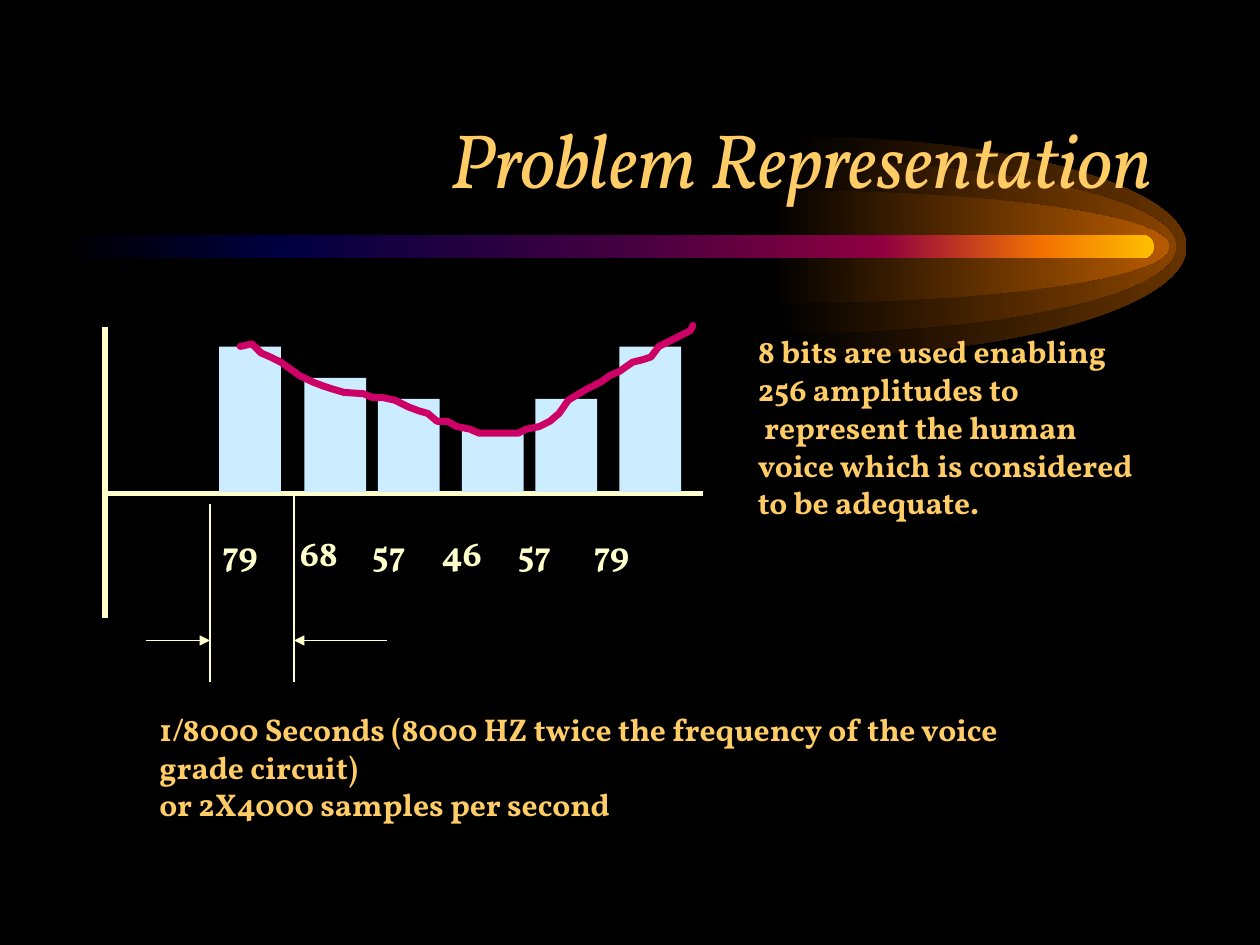
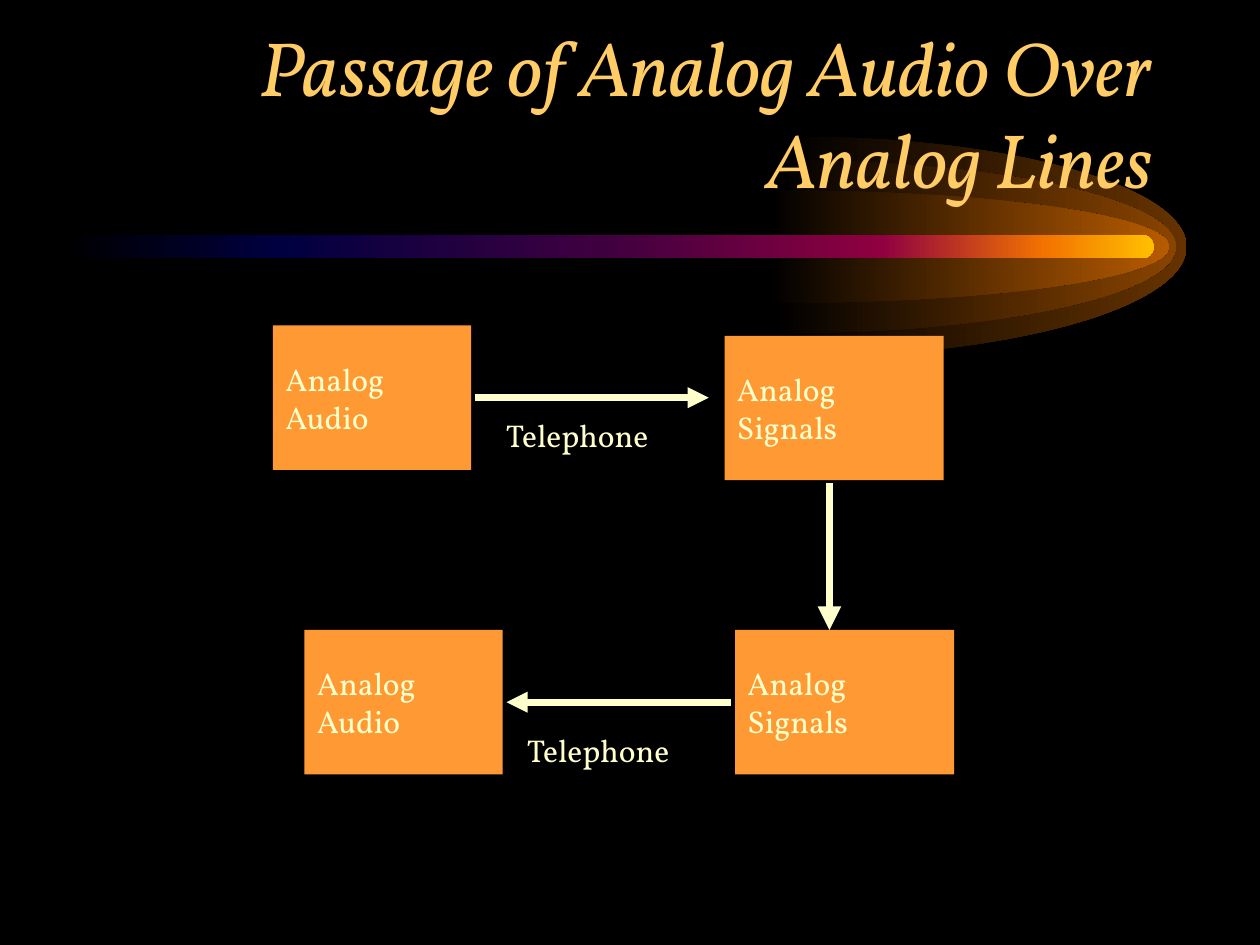
from lxml.etree import SubElement
from pptx import Presentation
from pptx.dml.color import RGBColor
from pptx.enum.shapes import MSO_CONNECTOR as Connector, MSO_SHAPE as Preset
from pptx.enum.text import MSO_ANCHOR as Anchor, PP_ALIGN as Align
from pptx.oxml.ns import qn
from pptx.util import Pt

PX = 9525
FONT = "Vollkorn"
BLACK = RGBColor(0x00, 0x00, 0x00)
GOLD = RGBColor(0xFF, 0xCC, 0x66)
CREAM = RGBColor(0xFF, 0xFF, 0xCC)
ORANGE = RGBColor(0xFF, 0x99, 0x33)
PALE_BLUE = RGBColor(0xCC, 0xEC, 0xFF)
MAGENTA = RGBColor(0xCC, 0x00, 0x66)
BROWN = RGBColor(0x66, 0x33, 0x00)
RUST = RGBColor(0x89, 0x44, 0x00)
AMBER = RGBColor(0xB7, 0x5B, 0x00)

COMET_Y = 188
GLOW_REACH = 300
ARC_PULL = 0.55
GLOWS = [(604, 84, BROWN), (596, 66, RUST), (591, 43, AMBER)]
TRAIL = [
    (0, BLACK),
    (20, RGBColor(0x00, 0x00, 0x40)),
    (50, RGBColor(0x40, 0x00, 0x40)),
    (75, RGBColor(0x8F, 0x00, 0x40)),
    (90, RGBColor(0xF2, 0x73, 0x00)),
    (100, RGBColor(0xFF, 0xBF, 0x00)),
]

TITLE = {"size": Pt(44), "italic": True}
BODY = {"size": Pt(18)}
STRONG = {"size": Pt(18), "bold": True}
SAMPLE = {"size": Pt(20), "bold": True}

BAR_BASE = 375
BARS = [(167, 264), (232, 288), (288, 304), (352, 328), (408, 304), (472, 264)]
SAMPLES = ["79", "68", "57", "46", "57", "79"]
SAMPLE_TABS = [59, 114, 167, 225, 283]
VOICE = [
    (183, 264), (192, 262), (199, 269), (206, 272), (214, 276), (221, 281),
    (228, 286), (238, 291), (246, 294), (252, 296), (262, 299), (277, 300),
    (284, 303), (292, 303), (301, 305), (311, 310), (319, 313), (326, 315),
    (333, 321), (341, 321), (348, 325), (358, 327), (365, 330), (372, 330),
    (379, 330), (387, 330), (395, 330), (401, 327), (411, 325), (419, 321),
    (426, 315), (433, 305), (441, 300), (448, 296), (458, 291), (465, 286),
    (472, 283), (482, 276), (490, 274), (496, 272), (502, 264), (512, 259),
    (518, 256), (526, 252), (528, 248),
]


def emu(*lengths):
    return [round(length * PX) for length in lengths]


def apply_formats(target, formats):
    for name, value in formats.items():
        setattr(target, name, value)


def paint(shape, color):
    shape.shadow.inherit = False
    shape.line.fill.background()
    shape.fill.solid()
    shape.fill.fore_color.rgb = color


def paint_gradient(shape, stops):
    shape.shadow.inherit = False
    shape.line.fill.background()
    shape.fill.gradient()
    shape.fill.gradient_angle = 0
    stop_list = shape._element.spPr.find(qn("a:gradFill")).find(qn("a:gsLst"))
    for stop in list(stop_list):
        stop_list.remove(stop)
    for percent, color in stops:
        stop = SubElement(stop_list, qn("a:gs"), pos=str(percent * 1000))
        SubElement(stop, qn("a:srgbClr"), val=str(color))


def write(shape, lines, color, font, anchor=Anchor.TOP, align=Align.LEFT, tabs=()):
    frame = shape.text_frame
    apply_formats(frame, {"word_wrap": True, "vertical_anchor": anchor})
    for index, line in enumerate(lines):
        paragraph = frame.add_paragraph() if index else frame.paragraphs[0]
        paragraph.text = line
        paragraph.alignment = align
        if tabs:
            tab_list = SubElement(paragraph._p.get_or_add_pPr(), qn("a:tabLst"))
            for tab in tabs:
                SubElement(tab_list, qn("a:tab"), pos=str(tab * PX), algn="l")
        apply_formats(paragraph.font, {"name": FONT, **font})
        paragraph.font.color.rgb = color


def add_text(slide, box, lines, color, font, **layout):
    write(slide.shapes.add_textbox(*emu(*box)), lines, color, font, **layout)


def add_block(slide, box, color, lines=()):
    block = slide.shapes.add_shape(Preset.RECTANGLE, *emu(*box))
    paint(block, color)
    if lines:
        write(block, lines, CREAM, BODY, anchor=Anchor.MIDDLE)


def add_line(slide, start, end, width, arrow=False):
    line = slide.shapes.add_connector(Connector.STRAIGHT, *emu(*start, *end))
    line.line.color.rgb = CREAM
    line.line.width = Pt(width)
    if arrow:
        SubElement(line.line._get_or_add_ln(), qn("a:tailEnd"), type="triangle")
    SubElement(line._element.spPr, qn("a:effectLst"))


def add_outline(slide, points, close):
    start, *rest = [emu(*point) for point in points]
    builder = slide.shapes.build_freeform(*start, scale=1.0)
    builder.add_line_segments(rest, close=close)
    return builder.convert_to_shape()


def bend_segments(shape):
    segments = list(shape._element.iter(qn("a:lnTo")))
    for first in range(0, len(segments) // 3 * 3, 3):
        curve = segments[first].makeelement(qn("a:cubicBezTo"))
        segments[first].addprevious(curve)
        for segment in segments[first:first + 3]:
            curve.append(segment[0])
            segment.getparent().remove(segment)


def add_glow(slide, center_x, radius_y, color):
    top, bottom = COMET_Y - radius_y, COMET_Y + radius_y
    tip = center_x + GLOW_REACH
    pull_x, pull_y = GLOW_REACH * ARC_PULL, radius_y * ARC_PULL
    glow = add_outline(slide, [
        (center_x, top),
        (center_x + pull_x, top), (tip, COMET_Y - pull_y), (tip, COMET_Y),
        (tip, COMET_Y + pull_y), (center_x + pull_x, bottom), (center_x, bottom),
        (center_x - 2, bottom), (center_x - 3, bottom), (center_x - 5, bottom),
        (center_x, COMET_Y),
    ], True)
    bend_segments(glow)
    paint_gradient(glow, [(0, BLACK), (100, color)])


def add_voice_curve(slide):
    curve = add_outline(slide, VOICE, False)
    curve.shadow.inherit = False
    curve.fill.background()
    curve.line.color.rgb = MAGENTA
    curve.line.width = Pt(4)
    stroke = curve.line._get_or_add_ln()
    stroke.set("cap", "rnd")
    SubElement(stroke, qn("a:round"))


def add_comet_slide(deck, title):
    slide = deck.slides.add_slide(deck.slide_layouts[6])
    slide.background.fill.solid()
    slide.background.fill.fore_color.rgb = BLACK
    for glow in GLOWS:
        add_glow(slide, *glow)
    trail = slide.shapes.add_shape(Preset.ROUNDED_RECTANGLE, *emu(48, 179, 831, 18))
    trail.adjustments[0] = 0.5
    paint_gradient(trail, TRAIL)
    add_text(slide, (72, 40, 816, 120), [title], GOLD, TITLE,
             anchor=Anchor.BOTTOM, align=Align.RIGHT)
    return slide


def build_representation(deck):
    slide = add_comet_slide(deck, "Problem Representation")
    add_line(slide, (80, 249), (80, 471), 3)
    add_line(slide, (80, 376), (536, 376), 3)
    for left, top in BARS:
        add_block(slide, (left, top, 47, BAR_BASE - top), PALE_BLUE)
    add_voice_curve(slide)
    add_text(slide, (160, 400, 375, 41), ["\t".join(SAMPLES)], CREAM, SAMPLE,
             tabs=SAMPLE_TABS)
    for x, top, arrow_start in [(160, 384, 111), (224, 376, 295)]:
        add_line(slide, (x, top), (x, 520), 1)
        add_line(slide, (arrow_start, 488), (x, 488), 1, arrow=True)
    add_text(slide, (112, 536, 848, 125), [
        "1/8000 Seconds (8000 HZ twice the frequency of the voice",
        "grade circuit)",
        "or 2X4000 samples per second",
    ], GOLD, STRONG)
    add_text(slide, (568, 224, 384, 202), [
        "8 bits are used enabling",
        "256 amplitudes to",
        " represent the human",
        "voice which is considered",
        "to be adequate.",
    ], GOLD, STRONG, anchor=Anchor.MIDDLE)


def build_passage(deck):
    slide = add_comet_slide(deck, "Passage of Analog Audio Over Analog Lines")
    stages = [
        (208, 248, 151, "Audio"),
        (552, 256, 167, "Signals"),
        (560, 480, 167, "Signals"),
        (232, 480, 151, "Audio"),
    ]
    for left, top, width, content in stages:
        add_block(slide, (left, top, width, 110), ORANGE, ["Analog", content])
    add_line(slide, (362, 303), (540, 303), 4, arrow=True)
    add_line(slide, (557, 535), (386, 535), 4, arrow=True)
    for left, top in [(376, 312), (392, 552)]:
        add_text(slide, (left, top, 168, 48), ["Telephone"], CREAM, BODY)
    add_line(slide, (632, 368), (632, 480), 4.5, arrow=True)


def main():
    deck = Presentation()
    deck.slide_width, deck.slide_height = emu(960, 720)
    build_representation(deck)
    build_passage(deck)
    deck.save("out.pptx")


if __name__ == "__main__":
    main()
